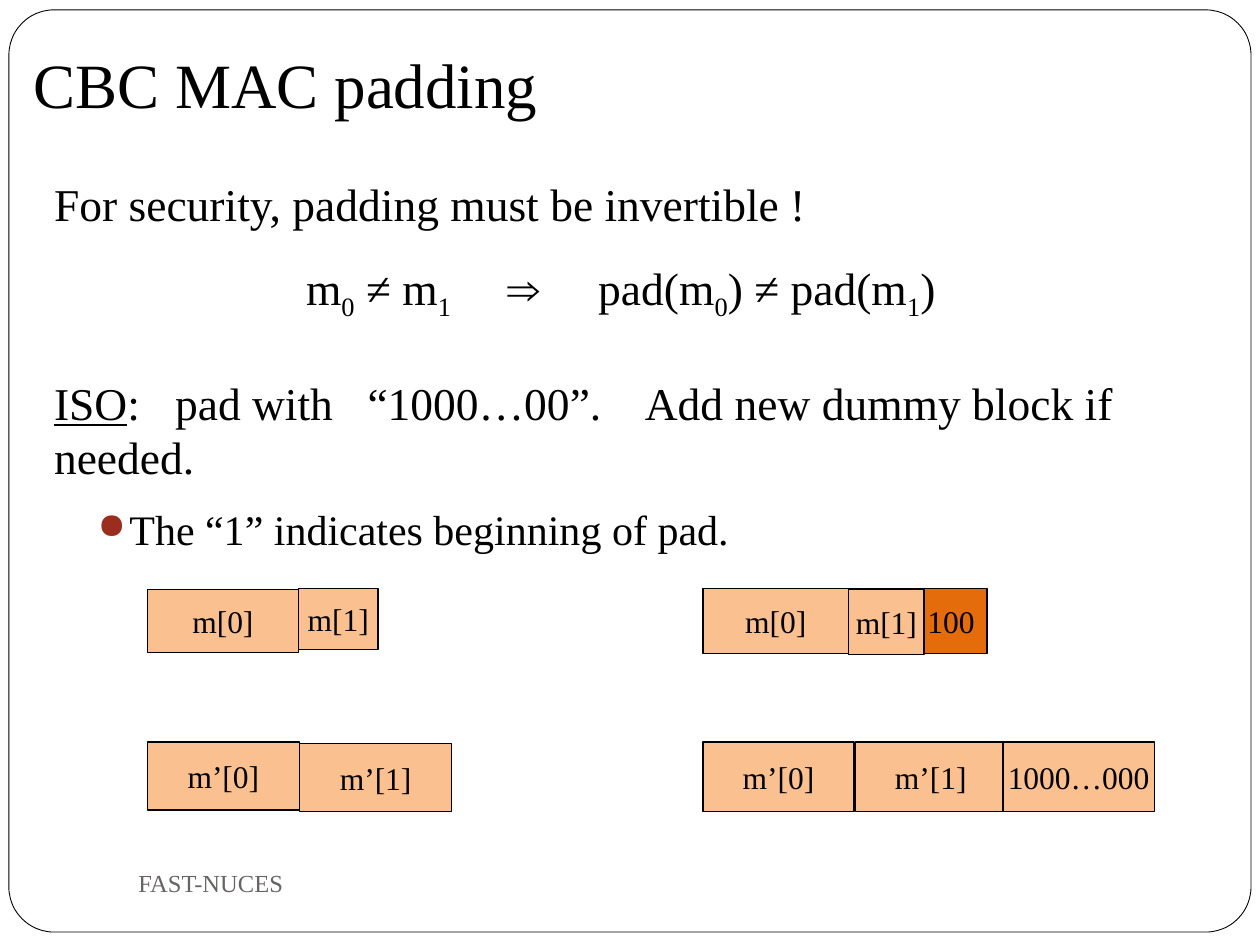
from dataclasses import dataclass

from pptx import Presentation
from pptx.dml.color import RGBColor as RGB
from pptx.enum.shapes import MSO_SHAPE as SHAPE
from pptx.enum.text import MSO_ANCHOR as ANCHOR, PP_ALIGN as ALIGN
from pptx.oxml.ns import qn
from pptx.util import Cm, Pt
from lxml.etree import SubElement


@dataclass(frozen=True)
class Theme:
    font: str = "Times New Roman"
    ink: str = "000000"
    paper: str = "FFFFFF"
    block: str = "FAC090"
    pad: str = "E46C0A"
    bullet: str = "9B2D1F"
    muted: str = "696464"
    title: int = 36
    body: int = 26
    sub: int = 24
    label: int = 18
    footer: int = 14


class Deck:
    def __init__(self, theme):
        self.t = theme
        self.prs = Presentation()
        self.prs.slide_width, self.prs.slide_height = Cm(25.4), Cm(19.05)
        self.s = self.prs.slides.add_slide(self.prs.slide_layouts[6])

    def style(self, p, size, color=None):
        for r in p.runs:
            r.font.name, r.font.size = self.t.font, Pt(size)
            r.font.color.rgb = RGB.from_string(color or self.t.ink)

    def shape(self, kind, box, fill, weight):
        sp = self.s.shapes.add_shape(kind, *map(Cm, box))
        sp.shadow.inherit = False
        sp.fill.solid()
        sp.fill.fore_color.rgb = RGB.from_string(fill)
        sp.line.color.rgb = RGB.from_string(self.t.ink)
        sp.line.width = Pt(weight)
        return sp

    def frame(self, box, corner):
        sp = self.shape(SHAPE.ROUNDED_RECTANGLE, box, self.t.paper, 0.5)
        sp.adjustments[0] = corner

    def block(self, box, label, fill=None, align=ALIGN.CENTER):
        tf = self.shape(SHAPE.RECTANGLE, box, fill or self.t.block, 0.75).text_frame
        tf.word_wrap = False
        tf.vertical_anchor = ANCHOR.MIDDLE
        p = tf.paragraphs[0]
        p.text, p.alignment = label, align
        self.style(p, self.t.label)

    def text_box(self, box, anchor=ANCHOR.TOP):
        tf = self.s.shapes.add_textbox(*map(Cm, box)).text_frame
        tf.word_wrap = True
        tf.vertical_anchor = anchor
        return tf

    def line(self, box, text, size, anchor, color=None):
        tf = self.text_box(box, anchor)
        tf.text = text
        self.style(tf.paragraphs[0], size, color)
        return tf

    def paragraph(self, tf, runs, size, before=0, tabs=()):
        """Add (text, style) runs, where style is "", "sub" or "under"."""
        p = tf.add_paragraph() if tf.text else tf.paragraphs[0]
        if before:
            p.space_before = Pt(before)
        for text, kind in runs:
            r = p.add_run()
            r.text = text
            if kind == "under":
                r.font.underline = True
            elif kind == "sub":
                r._r.get_or_add_rPr().set("baseline", "-25000")
        if tabs:
            stops = SubElement(p._p.get_or_add_pPr(), qn("a:tabLst"))
            for pos in tabs:
                SubElement(stops, qn("a:tab"), pos=str(Cm(pos)), algn="l")
        self.style(p, size)
        return p

    def bullet(self, p, left, hang):
        pPr = p._p.get_or_add_pPr()
        pPr.set("marL", str(Cm(left)))
        pPr.set("indent", str(-Cm(hang)))
        color = SubElement(pPr, qn("a:buClr"))
        SubElement(color, qn("a:srgbClr"), val=self.t.bullet)
        SubElement(pPr, qn("a:buSzPct"), val="85000")
        SubElement(pPr, qn("a:buChar"), char="●")


def main():
    t = Theme()
    d = Deck(t)
    d.frame((0.18, 0.2, 25.04, 18.59), 0.049)
    title = d.line((0.43, 0.64, 24.77, 2.06), "CBC MAC padding", t.title, ANCHOR.BOTTOM)
    title.margin_bottom = Cm(0.25)

    body = d.text_box((0.84, 3.42, 24.13, 7.8))
    d.paragraph(body, [("For security, padding must be invertible !", "")], t.body)
    d.paragraph(body, [("\tm", ""), ("0", "sub"), (" ≠ m", ""), ("1", "sub"),
                       ("\t⇒\tpad(m", ""), ("0", "sub"), (") ≠ pad(m", ""),
                       ("1", "sub"), (")", "")],
                t.body, before=17, tabs=(5.08, 9.14, 10.97))
    d.paragraph(body, [("ISO", "under"),
                       (":\tpad with\t“1000…00”.\tAdd new dummy block if needed.", "")],
                t.body, before=30, tabs=(2.44, 6.32, 11.91))
    p = d.paragraph(body, [("The “1” indicates beginning of pad.", "")], t.sub, before=11)
    d.bullet(p, 1.52, 0.64)

    left, right = 2.97, 14.17
    top, low = 11.86, 14.96
    d.block((left, top + 0.03, 3.05, 1.27), "m[0]")
    d.block((left + 3.05, top, 1.6, 1.24), "m[1]")
    d.block((right, top, 2.94, 1.32), "m[0]")
    d.block((right + 2.94, top, 2.79, 1.32), "100", t.pad, ALIGN.RIGHT)
    d.block((right + 2.94, top + 0.03, 1.52, 1.3), "m[1]")
    d.block((left, low, 3.07, 1.37), "m’[0]")
    d.block((left + 3.07, low + 0.03, 3.07, 1.37), "m’[1]")
    for x, label in ((0, "m’[0]"), (3.07, "m’[1]"), (6.05, "1000…000")):
        d.block((right + x, low, 3.05, 1.4), label)

    d.line((2.54, 17.15, 11, 1.27), "FAST-NUCES", t.footer, ANCHOR.MIDDLE, t.muted)
    d.prs.save("out.pptx")


if __name__ == "__main__":
    main()
